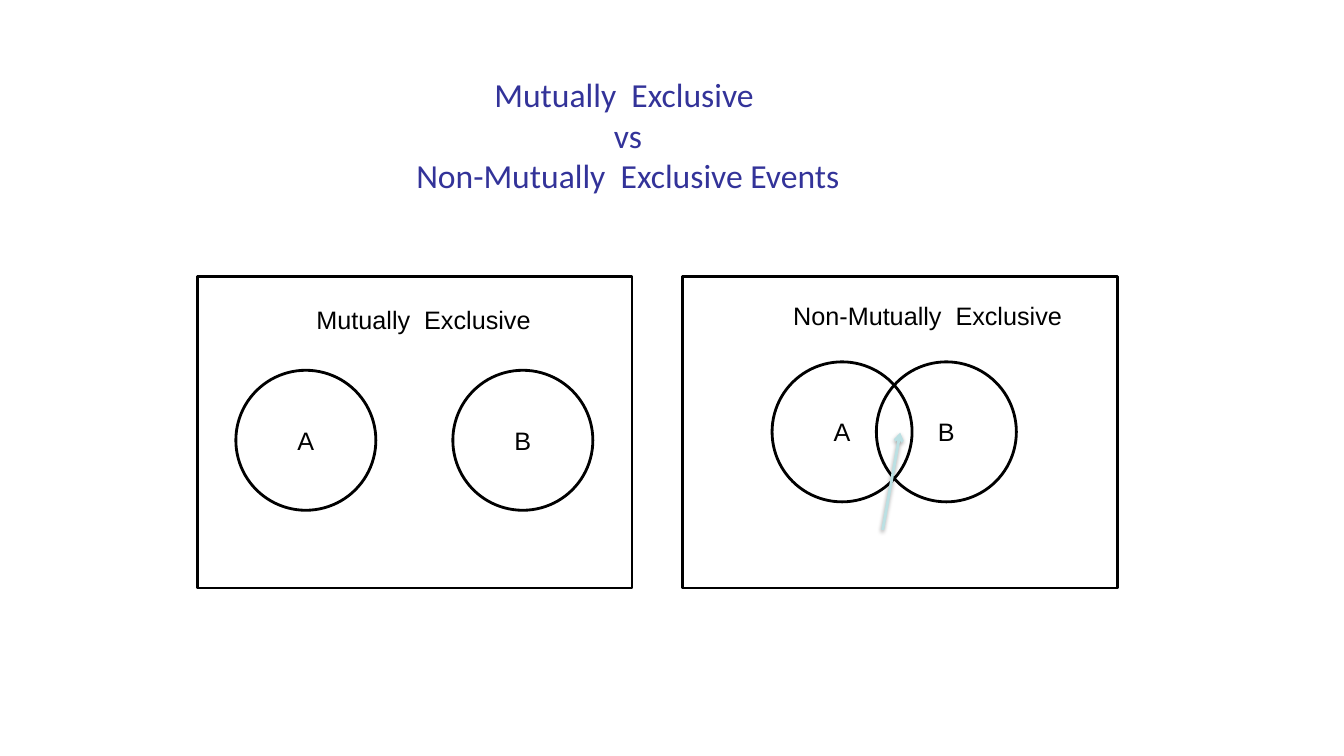
from dataclasses import dataclass

from lxml.etree import SubElement
from pptx import Presentation
from pptx.dml.color import RGBColor
from pptx.enum.shapes import MSO_CONNECTOR, MSO_SHAPE
from pptx.enum.text import MSO_ANCHOR, MSO_AUTO_SIZE, PP_ALIGN
from pptx.oxml import parse_xml
from pptx.oxml.ns import nsdecls, qn
from pptx.util import Pt


@dataclass(frozen=True)
class Theme:
    title_color: RGBColor = RGBColor(0x33, 0x33, 0x99)
    ink: RGBColor = RGBColor(0, 0, 0)
    paper: RGBColor = RGBColor(0xFF, 0xFF, 0xFF)
    accent: RGBColor = RGBColor(0xBB, 0xE0, 0xE3)
    title_font: str = "Calibri"
    body_font: str = "Arial"
    title_size: int = 24
    body_size: int = 18
    line_width: int = 2


class VennSlide:
    def __init__(self, presentation, theme):
        self.theme = theme
        self.slide = presentation.slides.add_slide(presentation.slide_layouts[5])

    def style_text(self, paragraph, name, size, color):
        paragraph.font.name = name
        paragraph.font.size = Pt(size)
        paragraph.font.color.rgb = color

    def body_text(self, frame, text, alignment):
        paragraph = frame.paragraphs[0]
        paragraph.text = text
        paragraph.alignment = alignment
        self.style_text(paragraph, self.theme.body_font, self.theme.body_size, self.theme.ink)

    def title(self, text, left, top, width, height):
        title = self.slide.shapes.title
        title.left, title.top, title.width, title.height = map(Pt, (left, top, width, height))
        frame = title.text_frame
        frame.auto_size = MSO_AUTO_SIZE.NONE
        frame.vertical_anchor = MSO_ANCHOR.MIDDLE
        paragraph = frame.paragraphs[0]
        paragraph.text = text
        paragraph.alignment = PP_ALIGN.CENTER
        self.style_text(paragraph, self.theme.title_font, self.theme.title_size,
                        self.theme.title_color)

    def outline(self, kind, left, top, width, height, filled=True):
        """Add a black-outlined shape, filled white or left see-through."""
        shape = self.slide.shapes.add_shape(kind, Pt(left), Pt(top), Pt(width), Pt(height))
        shape.shadow.inherit = False
        if filled:
            shape.fill.solid()
            shape.fill.fore_color.rgb = self.theme.paper
        else:
            shape.fill.background()
        shape.line.color.rgb = self.theme.ink
        shape.line.width = Pt(self.theme.line_width)
        return shape

    def event(self, name, left, top, diameter, filled):
        circle = self.outline(MSO_SHAPE.OVAL, left, top, diameter, diameter, filled)
        circle.text_frame.vertical_anchor = MSO_ANCHOR.MIDDLE
        self.body_text(circle.text_frame, name, PP_ALIGN.CENTER)

    def label(self, text, left, top, width, height):
        box = self.slide.shapes.add_textbox(Pt(left), Pt(top), Pt(width), Pt(height))
        box.text_frame.word_wrap = False
        box.text_frame.auto_size = MSO_AUTO_SIZE.SHAPE_TO_FIT_TEXT
        self.body_text(box.text_frame, text, PP_ALIGN.LEFT)

    def arrow(self, start, end):
        """Add an accent arrow with a soft shadow below it."""
        arrow = self.slide.shapes.add_connector(
            MSO_CONNECTOR.STRAIGHT, *map(Pt, (*start, *end)))
        arrow.line.color.rgb = self.theme.accent
        arrow.line.width = Pt(self.theme.line_width)
        properties = arrow.line._get_or_add_ln()
        SubElement(properties, qn("a:tailEnd"), type="arrow")
        properties.getparent().append(parse_xml(
            f'<a:effectLst {nsdecls("a")}>'
            f'<a:outerShdw blurRad="{Pt(3.1)}" dist="{Pt(1.6)}" dir="5400000" rotWithShape="0">'
            f'<a:srgbClr val="{self.theme.ink}"><a:alpha val="38000"/></a:srgbClr>'
            '</a:outerShdw></a:effectLst>'))


def main():
    presentation = Presentation()
    presentation.slide_width, presentation.slide_height = Pt(960), Pt(540)
    venn = VennSlide(presentation, Theme())
    venn.title("Mutually  Exclusive \vvs\vNon-Mutually  Exclusive Events", 141, 53.3, 615, 85.7)

    # Panel left; heading and its left, top, width; circle lefts and top; whether B is filled
    panels = [
        (141, ("Mutually  Exclusive", 219, 214, 169), (168.5, 323.5), 264.5, True),
        (487.5, ("Non-Mutually  Exclusive", 559.5, 211, 208), (551.5, 626), 258.5, False),
    ]
    for panel_left, heading, circle_lefts, circle_top, b_filled in panels:
        venn.outline(MSO_SHAPE.RECTANGLE, panel_left, 197.5, 310.5, 222.5)
        for name, left, filled in zip("AB", circle_lefts, (True, b_filled)):
            venn.event(name, left, circle_top, 100, filled)
        venn.label(*heading, 29)
    venn.arrow((630.5, 378.5), (643, 309))

    presentation.save("out.pptx")


if __name__ == "__main__":
    main()
